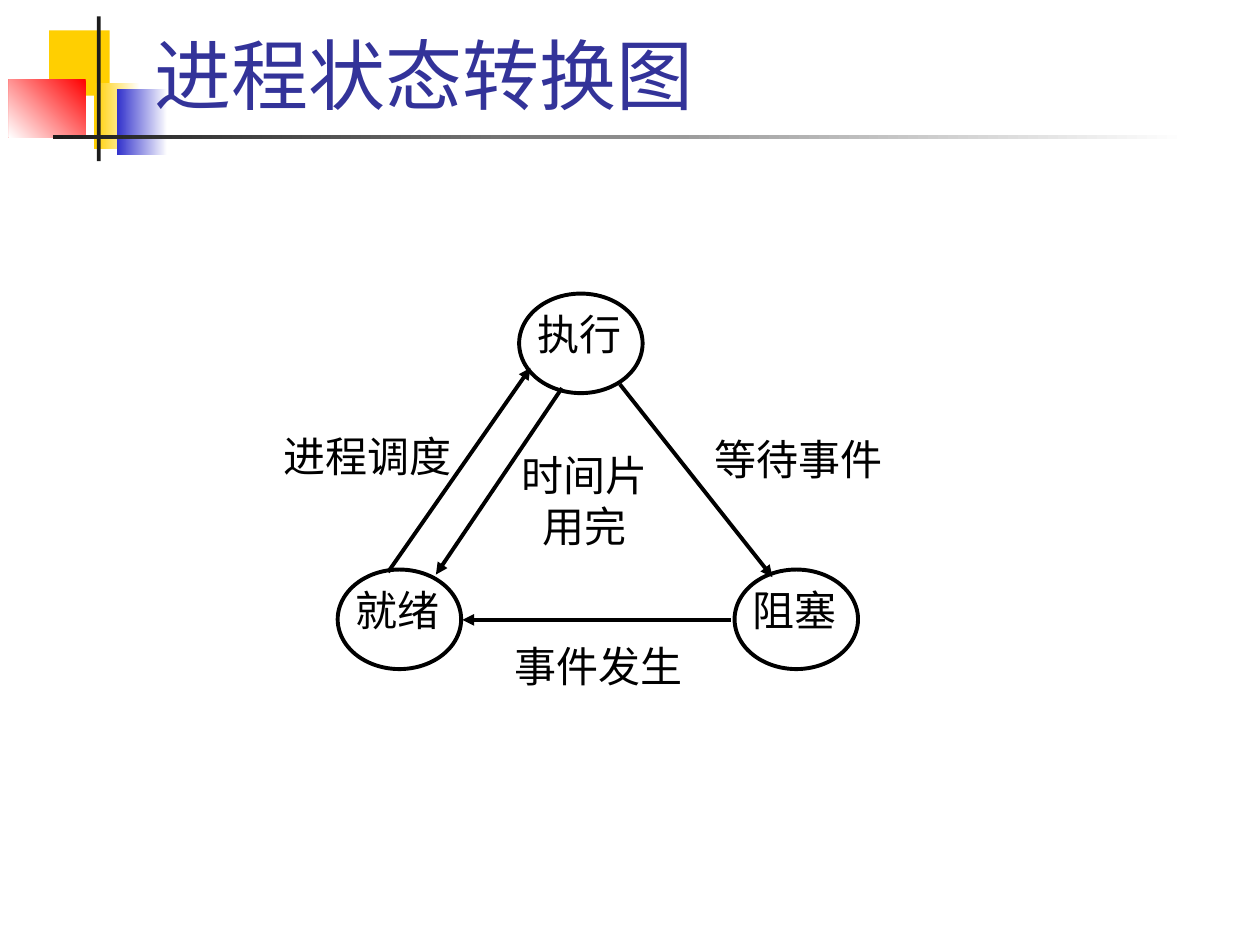
from dataclasses import dataclass
from typing import Optional

from lxml import etree
from pptx import Presentation
from pptx import util as u
from pptx.dml.color import RGBColor
from pptx.enum import shapes, text
from pptx.oxml.ns import qn

COLS, ROWS = 100, 75
WIDTH, HEIGHT = u.Inches(10), u.Inches(7.5)
BLACK, WHITE, CHARCOAL, GOLD = "000000", "FFFFFF", "1C1C1C", "FFCF01"
STATE_W, STATE_H = 9.8, 7.9
NO_INSETS = dict(margin_left=0, margin_top=0, margin_right=0, margin_bottom=0)


@dataclass
class Ornament:
    box: tuple
    start: str
    end: Optional[str] = None
    angle: int = 180


@dataclass
class State:
    name: str
    left: float
    top: float


@dataclass
class Label:
    words: str
    box: tuple
    align: text.PP_ALIGN = text.PP_ALIGN.JUSTIFY


@dataclass
class Transition:
    start: tuple
    end: tuple


ORNAMENTS = [
    Ornament((3.9, 2.4, 4.8, 5.2), GOLD),
    Ornament((7.5, 6.6, 3.6, 5.2), WHITE, GOLD),
    Ornament((9.3, 7.1, 4, 5.2), WHITE, "3333CC"),
    Ornament((0.7, 6.3, 6.1, 4.6), "FF0000", WHITE, 225),
    Ornament((7.7, 1.3, 0.3, 11.5), CHARCOAL),
    Ornament((4.2, 10.7, 90, 0.3), WHITE, CHARCOAL),
]
DIAGRAM = [
    State("执行", 41.2, 23.3),
    Transition((44.6, 30.8), (34.6, 45.6)),
    State("就绪", 26.8, 45.2),
    Transition((30.8, 45.4), (42.1, 29.2)),
    State("阻塞", 58.3, 45.2),
    Transition((49.2, 30.5), (61.3, 45.8)),
    Label("进程调度", (22.5, 34.2, 14.2, 4.8)),
    Label("时间片用完", (41.1, 35.7, 10.6, 8.5), text.PP_ALIGN.CENTER),
    Label("等待事件", (56.7, 34.4, 14.9, 3.9)),
    Label("事件发生", (40.8, 50.8, 15.1, 5)),
    Transition((58, 49.2), (36.7, 49.2)),
]


def rgb(value: str) -> RGBColor:
    return RGBColor.from_string(value)


def apply(target, values: dict) -> None:
    for name, value in values.items():
        setattr(target, name, value)


def place(*lengths: float) -> list:
    units = (WIDTH / COLS, HEIGHT / ROWS)
    return [round(n * units[i % 2]) for i, n in enumerate(lengths)]


def write(sp, words: str, align, size: int, font: str, color: str, **frame) -> None:
    tf = sp.text_frame
    apply(tf, dict(word_wrap=True, auto_size=text.MSO_AUTO_SIZE.NONE,
                   vertical_anchor=text.MSO_ANCHOR.TOP) | frame)
    p = tf.paragraphs[0]
    p.alignment = align
    r = p.add_run()
    r.text = words
    apply(r.font, dict(size=u.Pt(size), name=font))
    r.font.color.rgb = rgb(color)


def draw_ornament(s, item: Ornament) -> None:
    sp = s.shapes.add_shape(shapes.MSO_SHAPE.RECTANGLE, *place(*item.box))
    sp.shadow.inherit = False
    sp.line.fill.background()
    if item.end is None:
        sp.fill.solid()
        sp.fill.fore_color.rgb = rgb(item.start)
        return
    sp.fill.gradient()
    sp.fill.gradient_angle = item.angle
    for stop, color in zip(sp.fill.gradient_stops, (item.start, item.end)):
        stop.color.rgb = rgb(color)


def draw_title(s, words: str) -> None:
    sp = s.shapes.title
    apply(sp, dict(zip(("left", "top", "width", "height"), place(11.3, 1.4, 85.2, 8.6))))
    write(sp, words, text.PP_ALIGN.LEFT, 44, "Lato", "333399",
          vertical_anchor=text.MSO_ANCHOR.BOTTOM)
    sp._element.getparent().append(sp._element)


def outline(sp) -> None:
    sp.line.color.rgb = rgb(BLACK)
    sp.line.width = u.Pt(2.25)


def draw_state(s, item: State) -> None:
    sp = s.shapes.add_shape(shapes.MSO_SHAPE.OVAL,
                            *place(item.left, item.top, STATE_W, STATE_H))
    sp.shadow.inherit = False
    sp.fill.solid()
    sp.fill.fore_color.rgb = rgb(WHITE)
    outline(sp)
    write(sp, item.name, text.PP_ALIGN.JUSTIFY, 24, "Times New Roman", BLACK, **NO_INSETS)


def draw_label(s, item: Label) -> None:
    sp = s.shapes.add_textbox(*place(*item.box))
    write(sp, item.words, item.align, 24, "Times New Roman", BLACK, **NO_INSETS)


def draw_transition(s, item: Transition) -> None:
    sp = s.shapes.add_connector(shapes.MSO_CONNECTOR.STRAIGHT,
                                *place(*item.start, *item.end))
    outline(sp)
    etree.SubElement(sp.line._get_or_add_ln(), qn("a:tailEnd"), type="triangle")
    etree.SubElement(sp._element.spPr, qn("a:effectLst"))


def main() -> None:
    prs = Presentation()
    apply(prs, dict(slide_width=WIDTH, slide_height=HEIGHT))
    s = prs.slides.add_slide(prs.slide_layouts[5])
    for item in ORNAMENTS:
        draw_ornament(s, item)
    draw_title(s, "进程状态转换图")
    painters = {State: draw_state, Label: draw_label, Transition: draw_transition}
    for item in DIAGRAM:
        painters[type(item)](s, item)
    prs.save("out.pptx")


if __name__ == "__main__":
    main()
